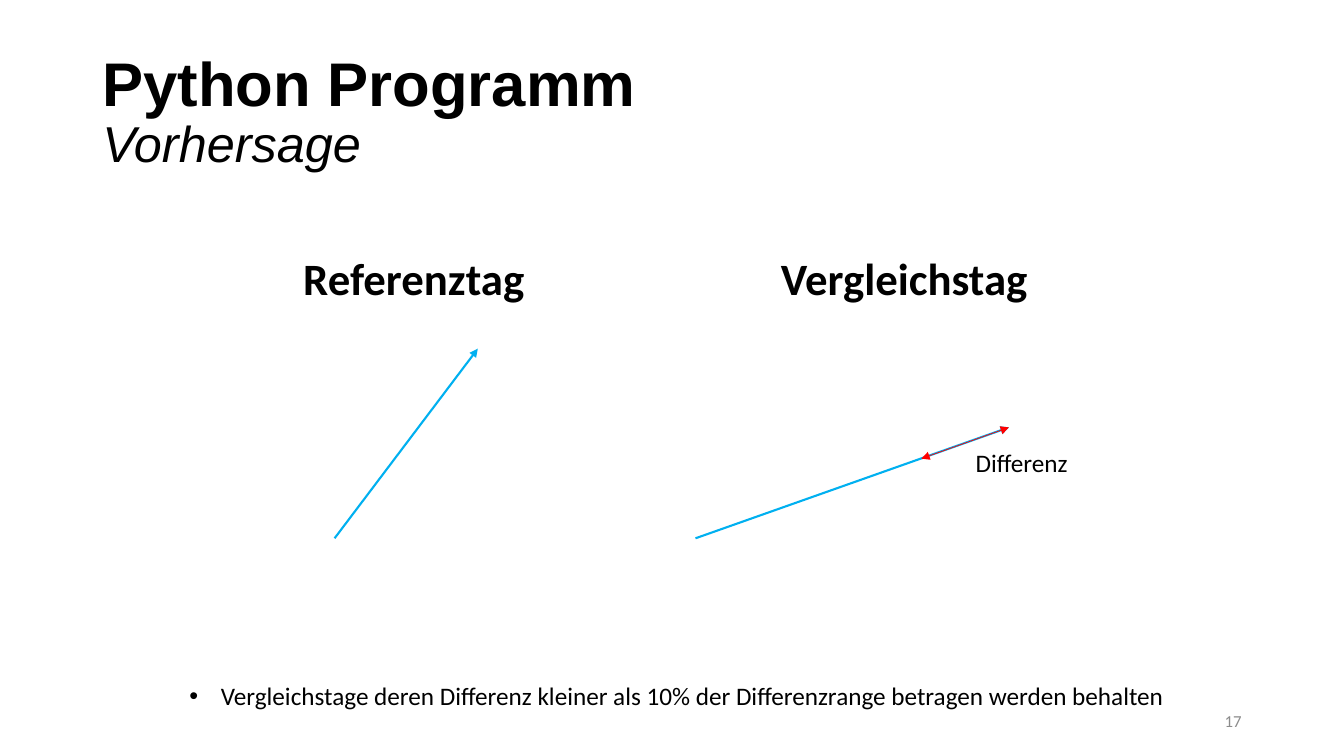
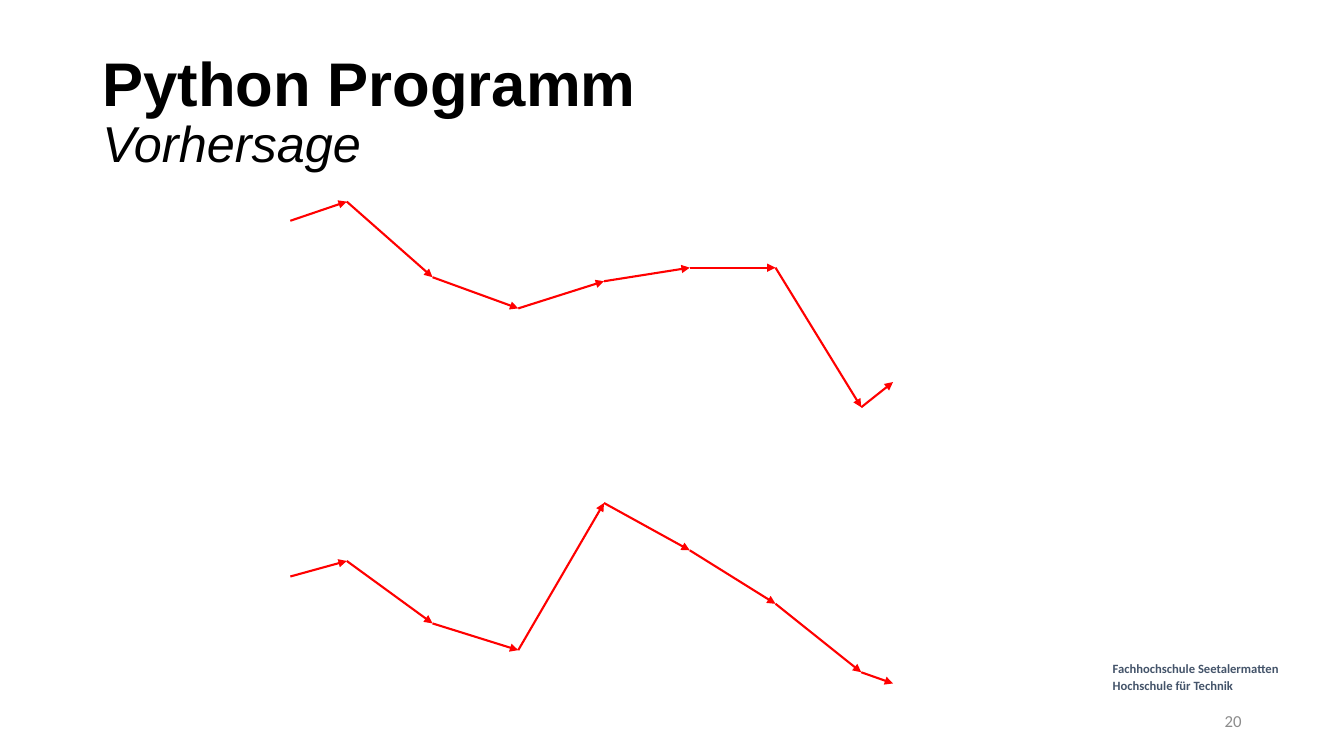
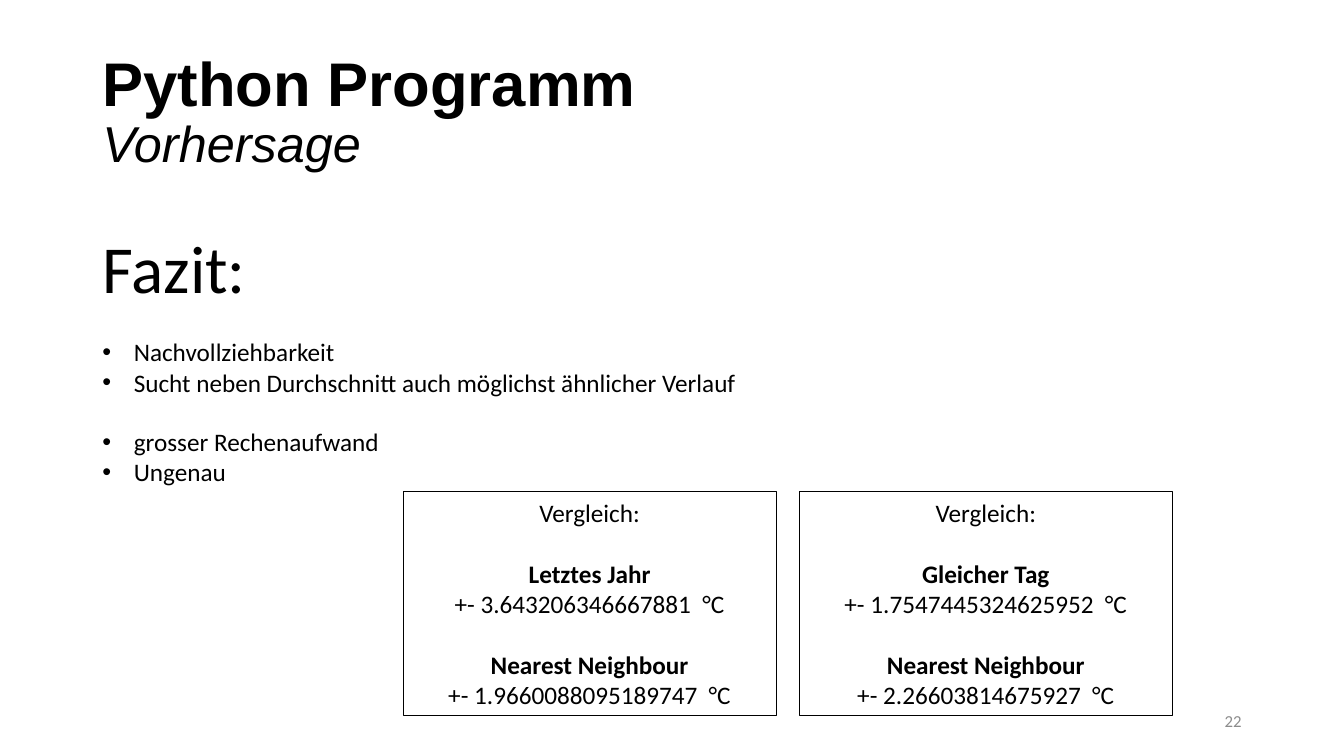
import dataclasses
import itertools

import pptx
import pptx.dml.color
import pptx.enum.shapes
import pptx.enum.text
import pptx.oxml.ns
import pptx.oxml.xmlchemy
import pptx.slide
import pptx.util
from lxml import etree

Pt = pptx.util.Pt
Align = pptx.enum.text.PP_ALIGN
Anchor = pptx.enum.text.MSO_ANCHOR

BLACK = "000000"
GREY = "8C8C8C"
SLATE = "44546A"
BLUE = "00B0F0"
RED = "FF0000"
BODY_FONT = "Calibri"
TITLE_FONT = "Arial"
BODY_SIZE = 18
BLANK_LINE = 22
BULLET_INDENT = 22.5
BLANK_LAYOUT = 6


@dataclasses.dataclass(frozen=True)
class Run:
    text: str
    size: float = BODY_SIZE
    bold: bool = False
    italic: bool = False
    color: str = BLACK
    font: str = BODY_FONT
    break_after: bool = False


@dataclasses.dataclass(frozen=True)
class Paragraph:
    runs: tuple[Run, ...]
    align: Align = Align.LEFT
    line_spacing: float = 1.0
    space_before: float = 0
    bullet: bool = False


@dataclasses.dataclass(frozen=True)
class Text:
    left: float
    top: float
    width: float
    height: float
    paragraphs: tuple[Paragraph, ...]
    wrap: bool = False
    anchor: Anchor = Anchor.TOP
    outline: str = ""


@dataclasses.dataclass(frozen=True)
class Arrow:
    start: tuple[float, float]
    end: tuple[float, float]
    color: str
    width: float = 1.5
    both_ends: bool = False


@dataclasses.dataclass(frozen=True)
class Comparison:
    baseline: str
    baseline_error: str
    neighbour_error: str


def rgb(color: str) -> pptx.dml.color.RGBColor:
    return pptx.dml.color.RGBColor.from_string(color)


def add_bullet(paragraph: pptx.text.text._Paragraph) -> None:
    properties = paragraph._p.get_or_add_pPr()
    properties.set("marL", str(Pt(BULLET_INDENT)))
    properties.set("indent", str(-Pt(BULLET_INDENT)))
    font = etree.SubElement(properties, pptx.oxml.ns.qn("a:buFont"))
    font.set("typeface", "Arial")
    character = etree.SubElement(properties, pptx.oxml.ns.qn("a:buChar"))
    character.set("char", "•")


def fill_frame(frame: pptx.text.text.TextFrame, paragraphs: tuple[Paragraph, ...]) -> None:
    for index, content in enumerate(paragraphs):
        paragraph = frame.paragraphs[0] if index == 0 else frame.add_paragraph()
        paragraph.alignment = content.align
        paragraph.line_spacing = content.line_spacing
        paragraph.space_before = Pt(content.space_before)
        if content.bullet:
            add_bullet(paragraph)
        for part in content.runs:
            run = paragraph.add_run()
            run.text = part.text
            run.font.name = part.font
            run.font.size = Pt(part.size)
            run.font.bold = part.bold
            run.font.italic = part.italic
            run.font.color.rgb = rgb(part.color)
            if part.break_after:
                paragraph.add_line_break()


def add_text(slide: pptx.slide.Slide, text: Text) -> None:
    bounds = [Pt(length) for length in (text.left, text.top, text.width, text.height)]
    if text.outline:
        shape = slide.shapes.add_shape(pptx.enum.shapes.MSO_SHAPE.RECTANGLE, *bounds)
        shape.shadow.inherit = False
        shape.fill.background()
        shape.line.color.rgb = rgb(text.outline)
        shape.line.width = Pt(0.75)
    else:
        shape = slide.shapes.add_textbox(*bounds)
    frame = shape.text_frame
    frame.word_wrap = text.wrap
    frame.vertical_anchor = text.anchor
    fill_frame(frame, text.paragraphs)


def add_arrow(slide: pptx.slide.Slide, arrow: Arrow) -> None:
    connector = slide.shapes.add_connector(
        pptx.enum.shapes.MSO_CONNECTOR.STRAIGHT,
        *(Pt(length) for length in arrow.start + arrow.end),
    )
    connector.line.color.rgb = rgb(arrow.color)
    connector.line.width = Pt(arrow.width)
    properties = connector.element.spPr
    line = properties.find(pptx.oxml.ns.qn("a:ln"))
    for tag in ("a:headEnd", "a:tailEnd") if arrow.both_ends else ("a:tailEnd",):
        etree.SubElement(line, pptx.oxml.ns.qn(tag)).set("type", "triangle")
    etree.SubElement(properties, pptx.oxml.ns.qn("a:effectLst"))


def add_path(slide: pptx.slide.Slide, points: list[tuple[float, float]]) -> None:
    for start, end in itertools.pairwise(points):
        add_arrow(slide, Arrow(start, end, RED))


def bullets(*lines: str) -> tuple[Paragraph, ...]:
    return tuple(Paragraph((Run(line),), bullet=True) for line in lines)


def plain(text: str, size: float = BODY_SIZE, bold: bool = False) -> tuple[Paragraph, ...]:
    return (Paragraph((Run(text, size, bold),)),)


def comparison_text(comparison: Comparison) -> tuple[Paragraph, ...]:
    paragraphs = [Paragraph((Run("Vergleich:"),), Align.CENTER)]
    for name, error in (
        (comparison.baseline, comparison.baseline_error),
        ("Nearest Neighbour", comparison.neighbour_error),
    ):
        heading = Run(name, bold=True)
        paragraphs.append(Paragraph((heading,), Align.CENTER, space_before=BLANK_LINE))
        paragraphs.append(Paragraph((Run(f"+- {error} \u00a0°C"),), Align.CENTER))
    return tuple(paragraphs)


def start_slide(presentation: pptx.presentation.Presentation, number: int) -> pptx.slide.Slide:
    slide = presentation.slides.add_slide(presentation.slide_layouts[BLANK_LAYOUT])
    title = Paragraph(
        (
            Run("Python Programm", 44, bold=True, font=TITLE_FONT, break_after=True),
            Run("Vorhersage", 36, italic=True, font=TITLE_FONT),
        ),
        line_spacing=0.9,
    )
    page = Paragraph((Run(str(number), 12, color=GREY),), Align.RIGHT)
    add_text(slide, Text(66, 28.75, 828, 104.4, (title,), True, Anchor.MIDDLE))
    add_text(slide, Text(678, 500.5, 216, 28.75, (page,), True, Anchor.MIDDLE))
    return slide


def build_difference(presentation: pptx.presentation.Presentation) -> None:
    slide = start_slide(presentation, 17)
    compared_tip = (720.7, 305.3)
    for arrow in (
        Arrow((239, 384.5), (341.3, 249.1), BLUE),
        Arrow((496.8, 384.5), compared_tip, BLUE),
        Arrow(compared_tip, (658.1, 327.6), RED, 0.5, True),
    ):
        add_arrow(slide, arrow)
    rule = "Vergleichstage deren Differenz kleiner als 10% der Differenzrange betragen werden behalten"
    for text in (
        Text(209.5, 175.7, 174.2, 46, plain("Referenztag", 32, True)),
        Text(550.8, 175.7, 192.2, 46, plain("Vergleichstag", 32, True)),
        Text(689.8, 316.1, 81.4, 29, plain("Differenz")),
        Text(128.2, 482.4, 720, 29, bullets(rule)),
    ):
        add_text(slide, text)


def build_paths(presentation: pptx.presentation.Presentation) -> None:
    slide = start_slide(presentation, 20)
    columns = [207.4, *(247.7 + 61.25 * step for step in range(7)), 637.9]
    for heights in (
        (157.7, 144, 198, 220.3, 200.9, 191.2, 191.2, 290.9, 272.9),
        (411.8, 400.7, 445.3, 464.4, 359.3, 393.1, 431.3, 480.2, 488.2),
    ):
        add_path(slide, list(zip(columns, heights)))
    school = tuple(
        Paragraph((Run(line, 9, bold=True, color=SLATE),), line_spacing=1.15)
        for line in ("Fachhochschule Seetalermatten", "Hochschule für Technik")
    )
    add_text(slide, Text(787.7, 466.6, 172, 51, school, True))


def build_conclusion(presentation: pptx.presentation.Presentation) -> None:
    slide = start_slide(presentation, 22)
    strengths = bullets(
        "Nachvollziehbarkeit", "Sucht neben Durchschnitt auch möglichst ähnlicher Verlauf"
    )
    weaknesses = bullets("grosser Rechenaufwand", "Ungenau")
    for text in (
        Text(66, 158.4, 118, 65.5, plain("Fazit:", 48)),
        Text(66, 301, 214.5, 51, weaknesses),
        Text(66, 236.9, 473, 51, strengths),
    ):
        add_text(slide, text)
    comparisons = (
        Comparison("Letztes Jahr", "3.643206346667881", "1.9660088095189747"),
        Comparison("Gleicher Tag", "1.7547445324625952", "2.26603814675927"),
    )
    for index, comparison in enumerate(comparisons):
        left = 288 + 283 * index
        paragraphs = comparison_text(comparison)
        add_text(slide, Text(left, 351.4, 266.4, 159.8, paragraphs, True, outline=BLACK))


def main() -> None:
    presentation = pptx.Presentation()
    presentation.slide_width = Pt(960)
    presentation.slide_height = Pt(540)
    build_difference(presentation)
    build_paths(presentation)
    build_conclusion(presentation)
    presentation.save("out.pptx")


main()
